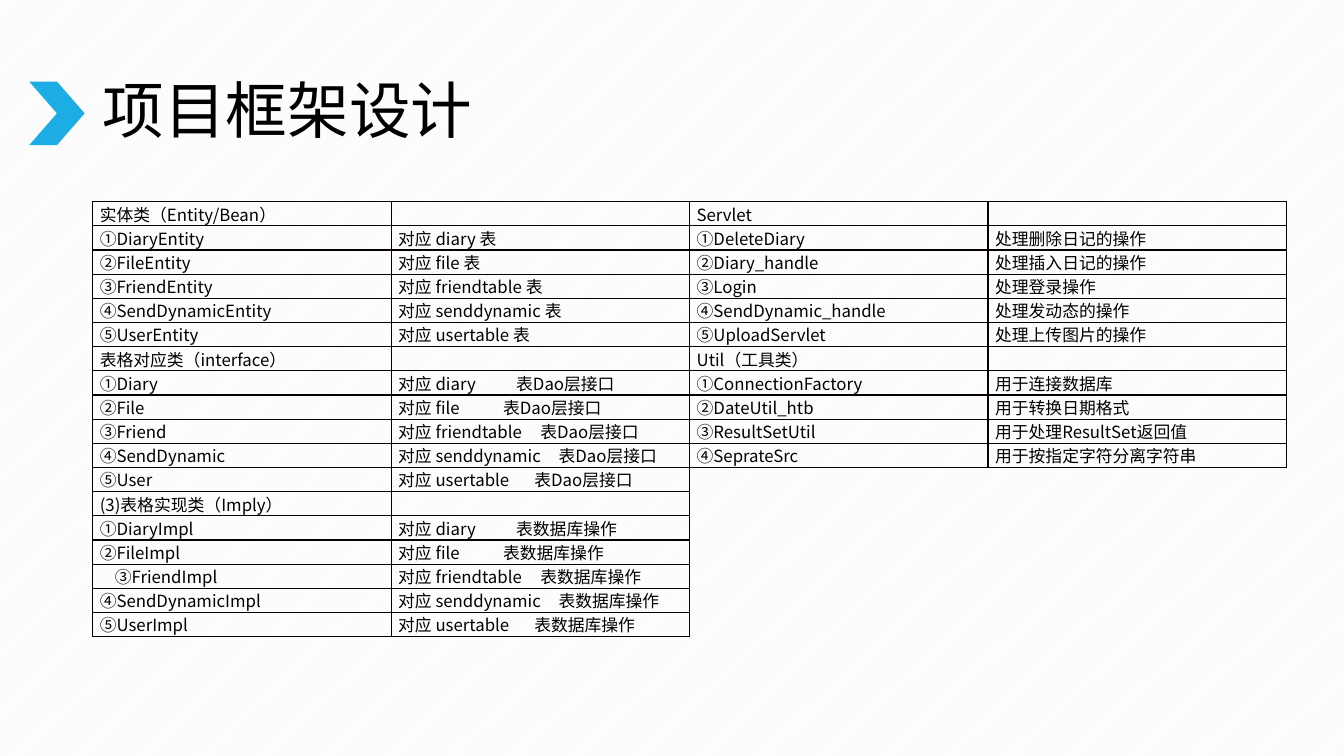
import pptx
import pptx.util
import pptx.dml.color
import pptx.enum.dml
import pptx.enum.shapes
import pptx.enum.text
import pptx.oxml
import pptx.oxml.ns
from lxml import etree

Inches, Pt = pptx.util.Inches, pptx.util.Pt
RGB = pptx.dml.color.RGBColor.from_string
qn = pptx.oxml.ns.qn

TITLE = "项目框架设计"
LEFT = [
    ("实体类（Entity/Bean）", ""),
    ("①DiaryEntity", "对应 diary 表"),
    ("②FileEntity", "对应 file 表"),
    ("③FriendEntity", "对应 friendtable 表"),
    ("④SendDynamicEntity", "对应 senddynamic 表"),
    ("⑤UserEntity", "对应 usertable 表"),
    ("表格对应类（interface）", ""),
    ("①Diary", "对应 diary\t表Dao层接口"),
    ("②File", "对应 file\t表Dao层接口"),
    ("③Friend", "对应 friendtable\t表Dao层接口"),
    ("④SendDynamic", "对应 senddynamic\t表Dao层接口"),
    ("⑤User", "对应 usertable\t表Dao层接口"),
    ("(3)表格实现类（Imply）", ""),
    ("①DiaryImpl", "对应 diary\t表数据库操作"),
    ("②FileImpl", "对应 file\t表数据库操作"),
    ("③FriendImpl", "对应 friendtable\t表数据库操作"),
    ("④SendDynamicImpl", "对应 senddynamic\t表数据库操作"),
    ("⑤UserImpl", "对应 usertable\t表数据库操作"),
]
RIGHT = [
    ("Servlet", ""),
    ("①DeleteDiary", "处理删除日记的操作"),
    ("②Diary_handle", "处理插入日记的操作"),
    ("③Login", "处理登录操作"),
    ("④SendDynamic_handle", "处理发动态的操作"),
    ("⑤UploadServlet", "处理上传图片的操作"),
    ("Util（工具类）", ""),
    ("①ConnectionFactory", "用于连接数据库"),
    ("②DateUtil_htb", "用于转换日期格式"),
    ("③ResultSetUtil", "用于处理ResultSet返回值"),
    ("④SeprateSrc", "用于按指定字符分离字符串"),
]
# Tab stop after each table name, and the indented entry, in inches
STOPS = {"diary": 1.17, "file": 1.04, "friendtable": 1.41,
         "senddynamic": 1.59, "usertable": 1.35}
INDENTS = {"③FriendImpl": 0.15}

THEME = {
    "accent": RGB("1CADE4"), "text": RGB("000000"), "rule": "080000",
    "paper": RGB("FFFFFF"), "stripe": RGB("F2F2F2"),
    "head": Pt(44), "body": Pt(12), "line": Pt(1),
    "headfont": "Arial", "bodyfont": "Noto Sans CJK SC",
}
EDGE, TOP, COL, ROW, PAD = 0.92, 2, 2.96, 0.24, 0.07


def style(para, size, face):
    font = para.font
    font.size, font.name = size, face
    font.color.rgb = THEME["text"]


def frame(cell):
    """Rule all four sides of a cell and leave it unfilled."""
    props = cell._tc.get_or_add_tcPr()
    for side in ("lnL", "lnR", "lnT", "lnB"):
        line = etree.SubElement(props, qn("a:" + side), w=str(THEME["line"]))
        fill = etree.SubElement(line, qn("a:solidFill"))
        etree.SubElement(fill, qn("a:srgbClr"), val=THEME["rule"])
    cell.fill.background()


def write(cell, text):
    cell.margin_left = cell.margin_right = Inches(PAD)
    cell.margin_top = cell.margin_bottom = 0
    para = cell.text_frame.paragraphs[0]
    para.text = text
    props = para._p.get_or_add_pPr()
    if text in INDENTS:
        props.set("marL", str(Inches(INDENTS[text])))
    if "\t" in text:
        name = text.split("\t")[0].split()[-1]
        tabs = etree.SubElement(props, qn("a:tabLst"))
        etree.SubElement(tabs, qn("a:tab"), pos=str(Inches(STOPS[name])), algn="l")
    style(para, THEME["body"], THEME["bodyfont"])
    face = etree.SubElement(props.find(qn("a:defRPr")), qn("a:ea"))
    face.set("typeface", THEME["bodyfont"])
    if not text:
        size = str(int(THEME["body"].pt * 100))
        etree.SubElement(para._p, qn("a:endParaRPr"), sz=size)


def grid(slide, rows, left):
    shape = slide.shapes.add_table(
        len(rows), 2, Inches(left), Inches(TOP),
        Inches(2 * COL), Inches(ROW * len(rows)))
    table = shape.table
    table.first_row = table.horz_banding = False
    for col in table.columns:
        col.width = Inches(COL)
    for r, row in enumerate(rows):
        table.rows[r].height = Inches(ROW)
        for c, text in enumerate(row):
            cell = table.cell(r, c)
            frame(cell)
            write(cell, text)


def paint(slide):
    fill = slide.background.fill
    fill.patterned()
    fill.pattern = pptx.enum.dml.MSO_PATTERN.LIGHT_UPWARD_DIAGONAL
    fill.fore_color.rgb = THEME["stripe"]
    fill.back_color.rgb = THEME["paper"]


def head(slide):
    mark = slide.shapes.add_shape(
        pptx.enum.shapes.MSO_SHAPE.CHEVRON,
        Inches(0.29), Inches(0.81), Inches(0.55), Inches(0.63))
    mark.shadow.inherit = False
    mark.fill.solid()
    mark.fill.fore_color.rgb = THEME["accent"]
    mark.line.fill.background()
    box = slide.shapes.add_textbox(
        Inches(EDGE), Inches(0.4), Inches(11.5), Inches(1.45)).text_frame
    box.word_wrap = True
    box.vertical_anchor = pptx.enum.text.MSO_ANCHOR.MIDDLE
    para = box.paragraphs[0]
    para.text = TITLE
    para.line_spacing = 0.9
    style(para, THEME["head"], THEME["headfont"])


def main():
    deck = pptx.Presentation()
    deck.slide_width, deck.slide_height = Inches(13.33), Inches(7.5)
    slide = deck.slides.add_slide(deck.slide_layouts[6])
    paint(slide)
    head(slide)
    for i, rows in enumerate((LEFT, RIGHT)):
        grid(slide, rows, EDGE + i * 2 * COL)
    deck.save("out.pptx")


if __name__ == "__main__":
    main()
